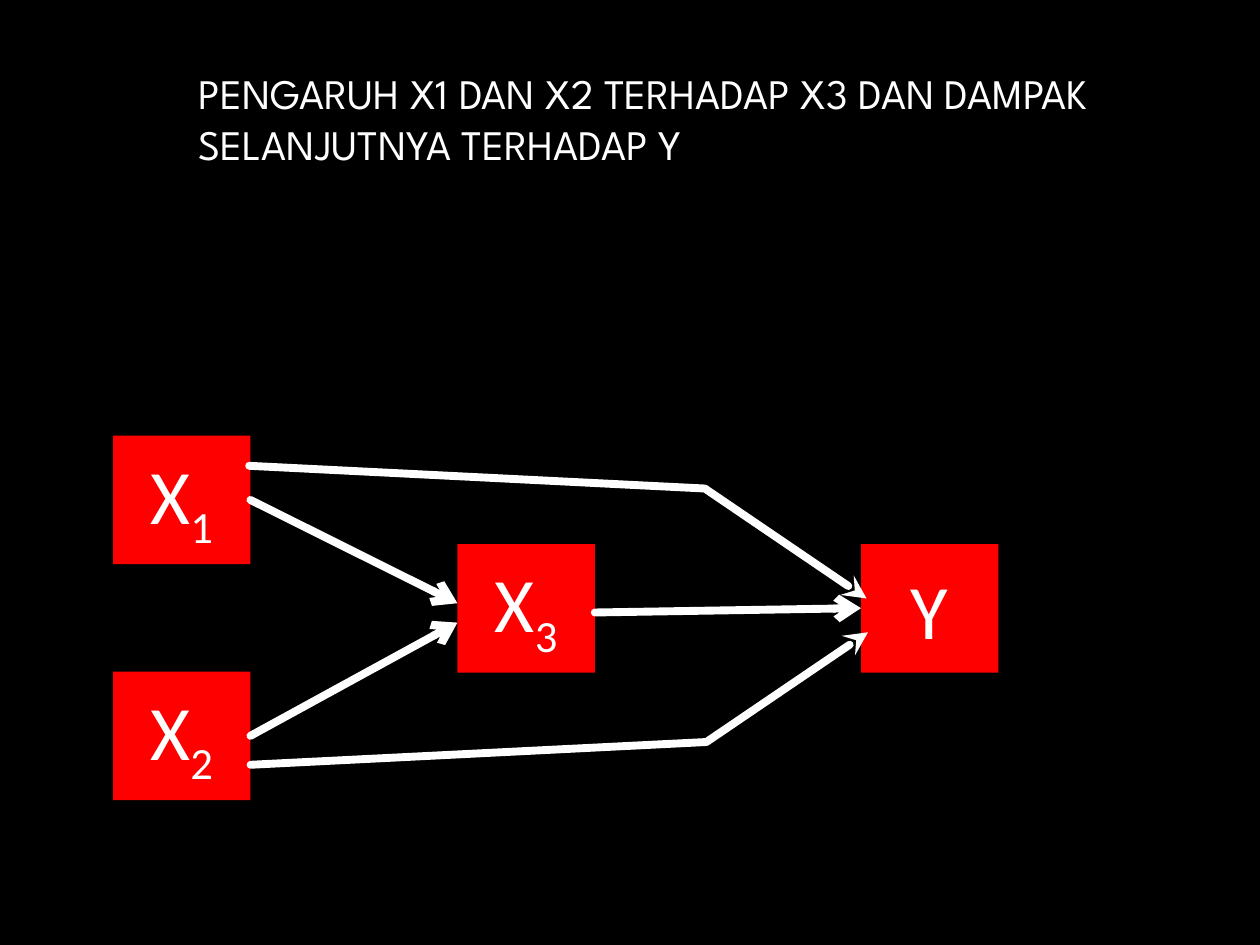
from pptx import Presentation
from pptx.util import Pt
from pptx.dml.color import RGBColor
from pptx.enum.shapes import MSO_SHAPE as Shape, MSO_CONNECTOR as Conn
from pptx.enum.text import PP_ALIGN as Align, MSO_ANCHOR as Anchor
from pptx.oxml import parse_xml
from pptx.oxml.ns import nsdecls, qn

WHITE = "FFFFFF"
RED = "FF0000"
BLACK = "000000"
WIDE, HIGH = 78.5, 73.4


def paint(fill, color):
    fill.solid()
    fill.fore_color.rgb = RGBColor.from_string(color)


def write(para, text, size=24, font="Calibri", color=WHITE, base=0):
    run = para.add_run()
    run.text = text
    run.font.size = Pt(size)
    run.font.name = font
    run.font.color.rgb = RGBColor.from_string(color)
    if base:
        run._r.get_or_add_rPr().set("baseline", str(base * 1000))


def add_box(slide, left, top, name, sub=""):
    box = slide.shapes.add_shape(Shape.RECTANGLE, Pt(left), Pt(top), Pt(WIDE), Pt(HIGH))
    box.shadow.inherit = False
    paint(box.fill, RED)
    box.line.fill.background()
    frame = box.text_frame
    frame.word_wrap = True
    frame.vertical_anchor = Anchor.MIDDLE
    para = frame.paragraphs[0]
    para.alignment = Align.CENTER
    write(para, name, size=44)
    if sub:
        write(para, sub, size=44, base=-25)


def style(item, head):
    item.line.width = Pt(4.5)
    paint(item.line.fill, WHITE)
    line = item.line._get_or_add_ln()
    line.set("cap", "rnd")
    line.append(parse_xml(f'<a:round {nsdecls("a")}/>'))
    line.append(parse_xml(f'<a:tailEnd {nsdecls("a")} type="{head}"/>'))


def add_arrow(slide, start, end):
    ends = [Pt(num) for num in (*start, *end)]
    arrow = slide.shapes.add_connector(Conn.STRAIGHT, *ends)
    style(arrow, "arrow")
    prop = arrow._element.find(qn("p:spPr"))
    prop.append(parse_xml(f'<a:effectLst {nsdecls("a")}/>'))


def add_bend(slide, start, *rest):
    pen = slide.shapes.build_freeform(Pt(start[0]), Pt(start[1]))
    pen.add_line_segments([(Pt(x), Pt(y)) for x, y in rest], close=False)
    bend = pen.convert_to_shape()
    bend.shadow.inherit = False
    bend.fill.background()
    style(bend, "stealth")


def add_title(slide, text):
    frame = slide.shapes.add_textbox(Pt(106.5), Pt(35.3), Pt(538.5), Pt(94.3)).text_frame
    frame.word_wrap = True
    write(frame.paragraphs[0], text, font="League Spartan")


def main():
    deck = Presentation()
    deck.slide_width, deck.slide_height = Pt(720), Pt(540)
    slide = deck.slides.add_slide(deck.slide_layouts[6])
    paint(slide.background.fill, BLACK)

    left, mid, right = 64.6, 261.4, 492
    add_box(slide, left, 249, "X", "1")
    add_box(slide, left, 383.8, "X", "2")
    add_box(slide, right, 311, "Y")
    add_box(slide, mid, 311, "X", "3")

    edge = left + WIDE
    add_arrow(slide, (edge, 285.7), (mid, 344.7))
    add_arrow(slide, (edge, 420.5), (mid, 355.8))
    add_arrow(slide, (mid + WIDE, 350), (right, 347.5))
    add_bend(slide, (142.4, 266.2), (402.8, 279.2), (495.2, 342))
    add_bend(slide, (143.2, 437), (403.7, 424), (496, 361.3))

    add_title(slide, "PENGARUH X1 DAN X2 TERHADAP X3 DAN DAMPAK SELANJUTNYA TERHADAP Y")
    deck.save("out.pptx")


if __name__ == "__main__":
    main()
